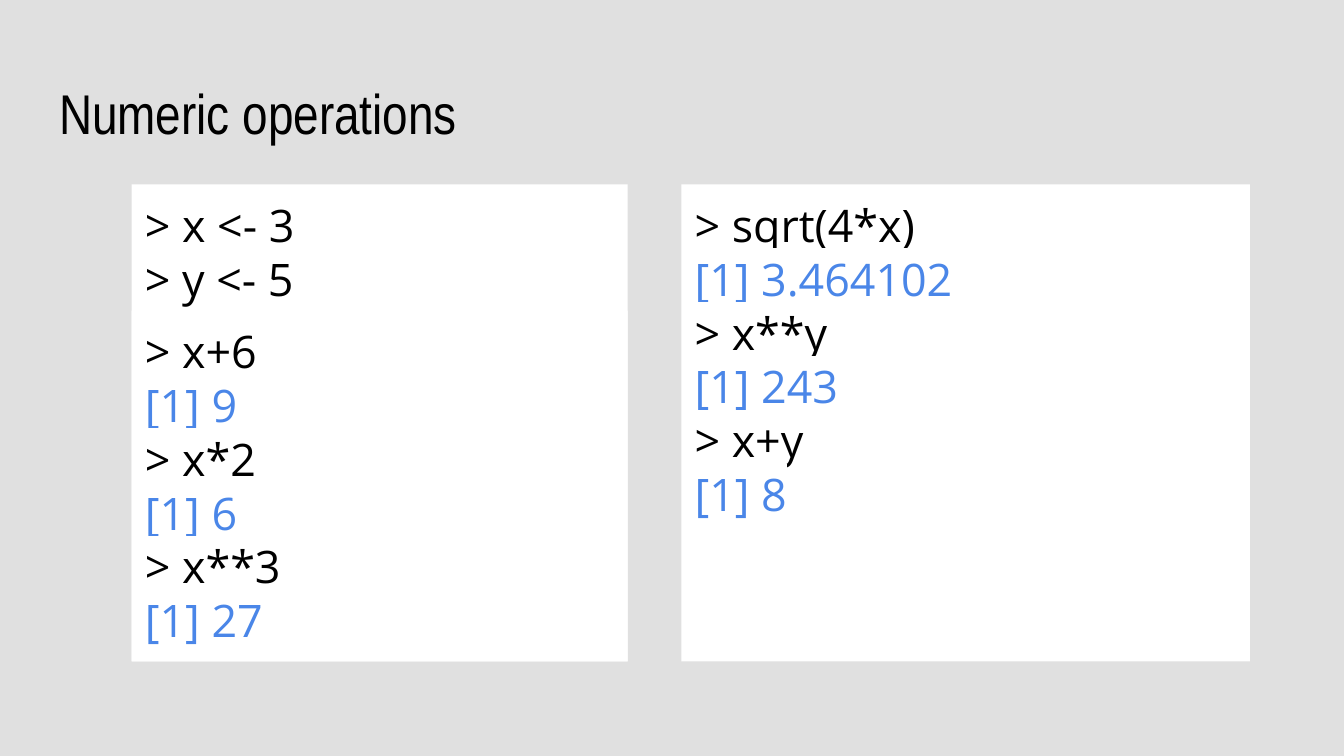
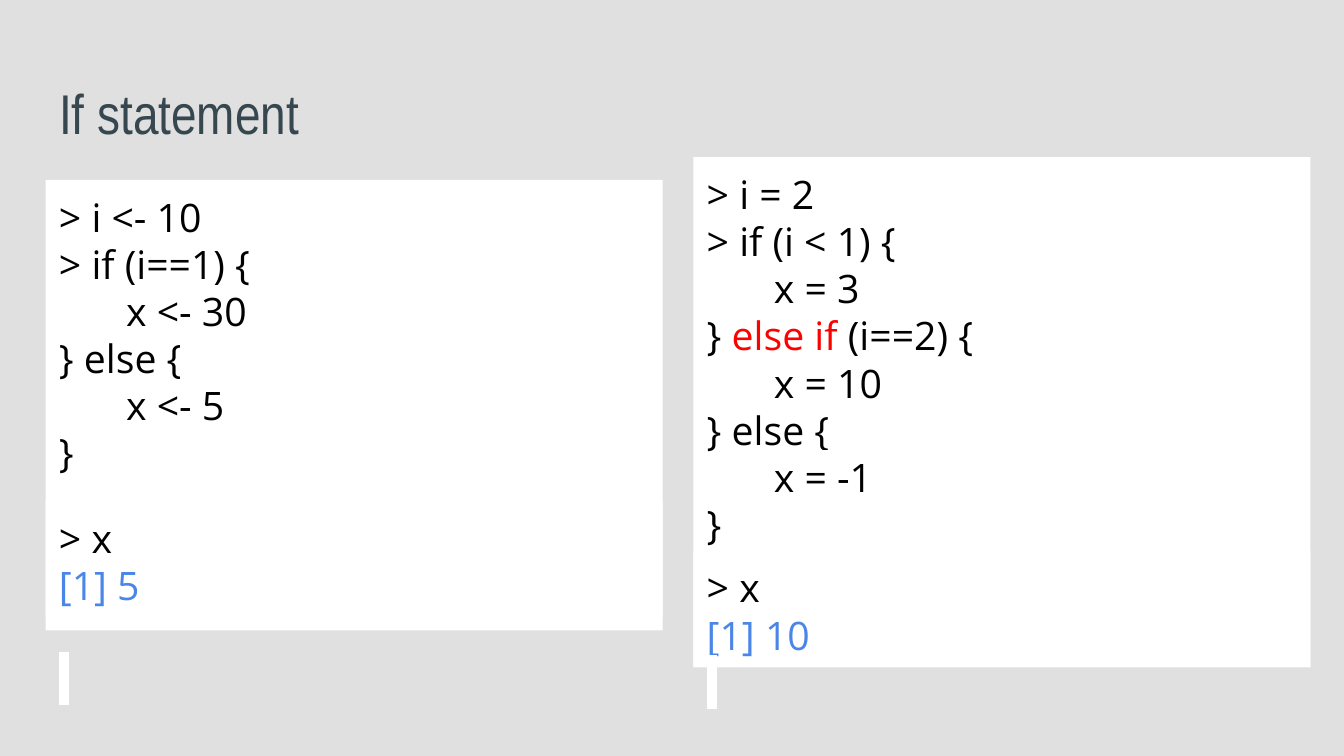
from pptx import Presentation
from pptx.dml.color import RGBColor
from pptx.enum.shapes import MSO_SHAPE as Shape
from pptx.enum.text import MSO_ANCHOR as Anchor, MSO_AUTO_SIZE as AutoSize, PP_ALIGN as Align
from pptx.oxml.ns import qn
from pptx.util import Inches, Pt
from lxml.etree import SubElement

GREY = RGBColor(0xE0, 0xE0, 0xE0)
WHITE = RGBColor(0xFF, 0xFF, 0xFF)
BLACK = RGBColor(0x00, 0x00, 0x00)
SLATE = RGBColor(0x37, 0x47, 0x4F)
BLUE = RGBColor(0x4A, 0x86, 0xE8)
RED = RGBColor(0xFF, 0x00, 0x00)

INSET = Inches(0.1)
CODE_INDENT = Inches(0.5)
CURSOR = " "
FRAME_FORMAT = {
    "word_wrap": True, "auto_size": AutoSize.NONE, "vertical_anchor": Anchor.TOP,
    "margin_left": INSET, "margin_top": INSET, "margin_right": INSET, "margin_bottom": INSET,
}
TITLE_FONT = {"name": "Arial Narrow", "size": Pt(30)}
CODE_PARAGRAPH = {"alignment": Align.LEFT, "line_spacing": 1.0}


def apply_format(target, values):
    for name, value in values.items():
        setattr(target, name, value)


class Deck:
    """Holds the shared style and the current slide; places are in percent of the slide."""

    def __init__(self):
        self.presentation = Presentation()
        self.presentation.slide_width = Inches(10)
        self.presentation.slide_height = Inches(10 * 9 / 16)
        fill = self.presentation.slide_master.background.fill
        fill.solid()
        fill.fore_color.rgb = GREY
        self.slide = None

    def box(self, left, top, width, height):
        slide_width = self.presentation.slide_width
        slide_height = self.presentation.slide_height
        return {
            "left": int(slide_width * left / 100), "top": int(slide_height * top / 100),
            "width": int(slide_width * width / 100), "height": int(slide_height * height / 100),
        }

    def add_slide(self, title, color):
        layout = self.presentation.slide_layouts.get_by_name("Title Only")
        self.slide = self.presentation.slides.add_slide(layout)
        shape = self.slide.shapes.title
        apply_format(shape, self.box(3.4, 8.65, 93.2, 11.2))
        apply_format(shape.text_frame, FRAME_FORMAT)
        paragraph = shape.text_frame.paragraphs[0]
        paragraph.alignment = Align.LEFT
        self.add_run(paragraph, title, color, TITLE_FONT)

    def add_run(self, paragraph, text, color, font):
        run = paragraph.add_run()
        run.text = text
        apply_format(run.font, font)
        run.font.color.rgb = color
        return run

    def add_code_run(self, paragraph, text, color, size):
        """Add a run of code with a white highlight behind it."""
        run = self.add_run(paragraph, text, color, {"size": Pt(size)})
        highlight = SubElement(run.font._element, qn("a:highlight"))
        SubElement(highlight, qn("a:srgbClr"), val=str(WHITE))
        run.font.name = "Open Sans"

    def add_panel(self, *place):
        shape = self.slide.shapes.add_shape(Shape.RECTANGLE, **self.box(*place))
        shape.shadow.inherit = False
        shape.fill.solid()
        shape.fill.fore_color.rgb = WHITE
        shape.line.fill.background()
        return shape

    def add_code(self, place, size, lines, keyword=None, cursor_gap=0):
        """Add a code panel: results are blue, the keyword red, block bodies indented."""
        frame = self.add_panel(*place).text_frame
        apply_format(frame, FRAME_FORMAT)
        previous = ""
        for number, line in enumerate(lines):
            paragraph = frame.add_paragraph() if number else frame.paragraphs[0]
            apply_format(paragraph, CODE_PARAGRAPH)
            if previous.endswith("{"):
                paragraph._p.get_or_add_pPr().set("indent", str(CODE_INDENT))
            if line == CURSOR:
                paragraph.space_before = Pt(cursor_gap)
            color = BLUE if line.startswith("[1]") else BLACK
            parts = line.partition(keyword) if keyword else (line,)
            for part in filter(None, parts):
                self.add_code_run(paragraph, part, RED if part == keyword else color, size)
            previous = line


def add_numeric_operations(deck):
    deck.add_slide("Numeric operations", BLACK)
    deck.add_code((9.8, 24.4, 36.9, 63.1), 24, ["> x <- 3", "> y <- 5"])
    deck.add_code((50.7, 24.4, 42.3, 63.1), 24, [
        "> sqrt(4*x)", "[1] 3.464102", "> x**y", "[1] 243", "> x+y", "[1] 8"])
    deck.add_code((9.8, 41.1, 36.9, 46.4), 24, [
        "> x+6", "[1] 9", "> x*2", "[1] 6", "> x**3", "[1] 27"])


def add_if_statement(deck):
    left, right, width = 3.4, 51.6, 45.9
    deck.add_slide("If statement", SLATE)
    deck.add_code((left, 23.8, width, 59.6), 21, [
        "> i <- 10", "> if (i==1) {", "x <- 30", "} else {", "x <- 5", "}"])
    deck.add_code((right, 20.8, width, 67.4), 21, [
        "> i = 2", "> if (i < 1) {", "x = 3", "} else if (i==2) {", "x = 10",
        "} else {", "x = -1", "}"], keyword="else if")
    deck.add_code((left, 66.2, width, 15.5), 21, ["> x", "[1] 5", CURSOR], cursor_gap=25)
    deck.add_code((right, 72.8, width, 15.5), 21, ["> x", "[1] 10", CURSOR])


def main():
    deck = Deck()
    add_numeric_operations(deck)
    add_if_statement(deck)
    deck.presentation.save("out.pptx")


if __name__ == "__main__":
    main()
